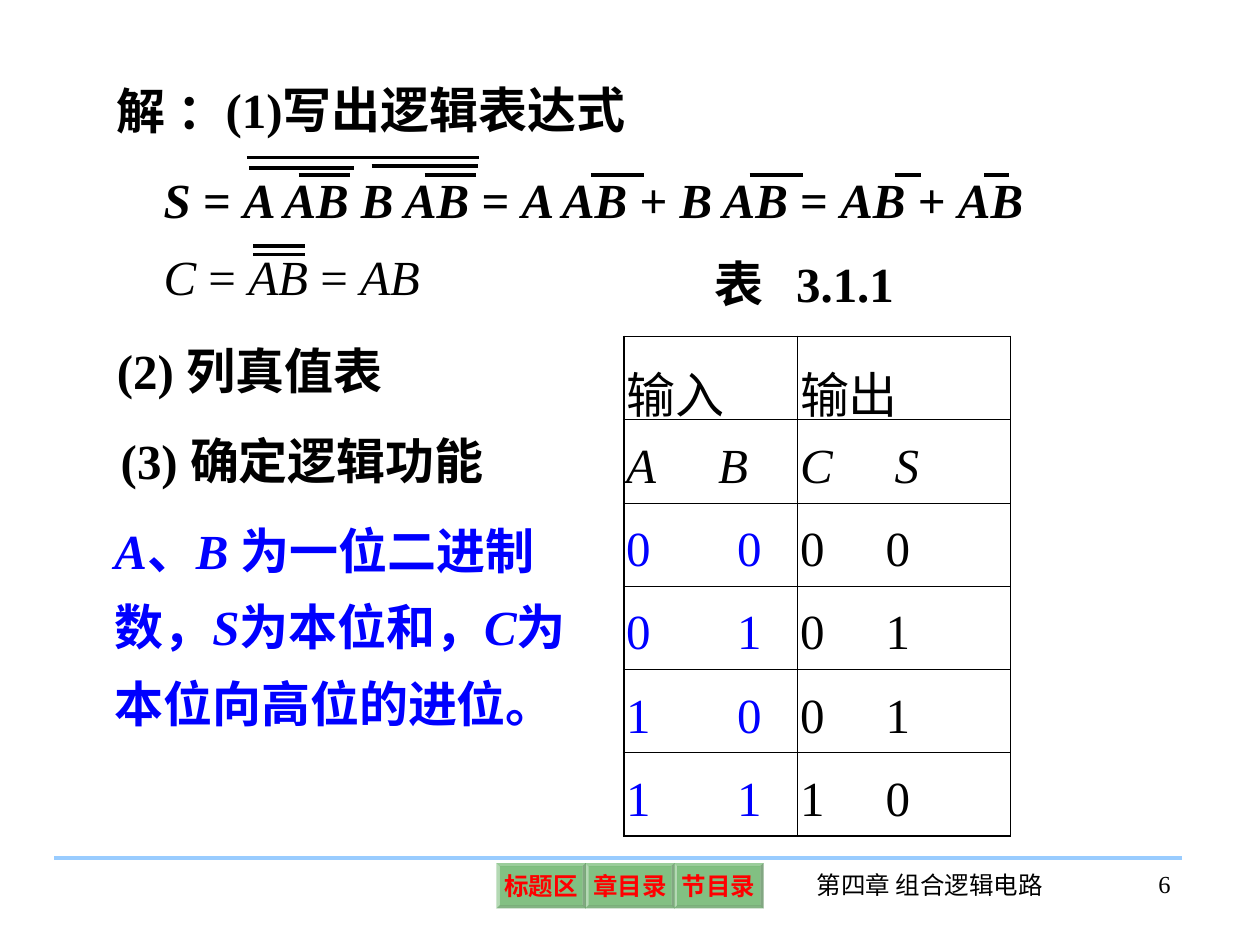
import pptx
import pptx.util
import pptx.dml.color
import pptx.enum.shapes
import pptx.enum.text
import pptx.oxml
import pptx.oxml.ns

Inches, Pt = pptx.util.Inches, pptx.util.Pt
RGB = pptx.dml.color.RGBColor.from_string
ALIGN = pptx.enum.text.PP_ALIGN
ANCHOR = pptx.enum.text.MSO_ANCHOR
FIT = pptx.enum.text.MSO_AUTO_SIZE
LINE = pptx.enum.shapes.MSO_CONNECTOR.STRAIGHT
NS = pptx.oxml.ns.nsdecls("a")
COLORS = {"ink": "000000", "blue": "0000FF", "rule": "99CCFF",
          "button": "008000", "label": "FF0000"}


def write(tf, runs, size=28, color="ink", bold=True, align=ALIGN.LEFT, tab=None, **spacing):
    p = tf.paragraphs[0]
    for name, value in dict(spacing, alignment=align).items():
        setattr(p, name, value)
    if tab:
        p._p.get_or_add_pPr().append(pptx.oxml.parse_xml(
            f'<a:tabLst {NS}><a:tab pos="{Inches(tab)}" algn="l"/></a:tabLst>'))
    for text, italic in runs:
        r = p.add_run()
        r.text = text
        font = {"name": "Times New Roman", "size": Pt(size), "bold": bold, "italic": italic}
        for name, value in font.items():
            setattr(r.font, name, value)
        r.font.color.rgb = RGB(COLORS[color])


def rule(shapes, x1, x2, y, color="ink"):
    sp = shapes.add_connector(LINE, Inches(x1), Inches(y), Inches(x2), Inches(y))
    sp.line.color.rgb = RGB(COLORS[color])
    sp.line.width = Pt(2.25)
    sp._element.spPr.append(pptx.oxml.parse_xml(f"<a:effectLst {NS}/>"))


prs = pptx.Presentation()
prs.slide_width, prs.slide_height = Inches(10), Inches(7.5)
s = prs.slides.add_slide(prs.slide_layouts[5])

rule(s.shapes, 0.43, 9.38, 6.81, "rule")

title = s.shapes.title
box = {"left": 1.69, "top": 0.58, "width": 3.74, "height": 0.57}
for name, value in box.items():
    setattr(title, name, Inches(value))
tf = title.text_frame
frame = {"word_wrap": True, "auto_size": FIT.NONE, "vertical_anchor": ANCHOR.TOP}
for name, value in frame.items():
    setattr(tf, name, value)
write(tf, [("(1)写出逻辑表达式", False)])

texts = [
    (0.83, 0.59, 1.09, 0.57, [("解 ：", False)], {}),
    (0.83, 2.65, 2.46, 0.57, [("(2) 列真值表", False)], {}),
    (0.86, 3.37, 3.28, 0.57, [("(3) 确定逻辑功能", False)], {}),
    (0.81, 3.94, 3.91, 2.53,
     [("A", True), ("、", False), ("B ", True), ("为一位二进制数，", False),
      ("S", True), ("为本位和，", False), ("C", True), ("为本位向高位的进位。", False)],
     {"color": "blue", "line_spacing": 1.3}),
    (5.57, 1.96, 2.09, 0.57, [("表\t3.1.1", False)], {"tab": 0.65}),
    (6.24, 6.86, 2.28, 0.5, [("第四章 组合逻辑电路", False)],
     {"size": 14, "bold": False, "align": ALIGN.CENTER}),
    (8.53, 6.85, 0.86, 0.5, [("6", False)],
     {"size": 14, "bold": False, "align": ALIGN.RIGHT}),
]
for x, y, w, h, runs, style in texts:
    tf = s.shapes.add_textbox(Inches(x), Inches(y), Inches(w), Inches(h)).text_frame
    tf.word_wrap = True
    write(tf, runs, **style)

formulas = [
    (1.3, 7.42, True,
     ["S", " = ", "A AB B AB", " = ", "A AB", " + ", "B AB", " = ", "AB", " + ", "AB"],
     [(2.37, 2.78, 1.39), (3.37, 3.78, 1.39), (1.98, 2.81, 1.33), (2.95, 3.79, 1.32),
      (1.96, 3.8, 1.25), (4.69, 5.11, 1.39), (5.95, 6.37, 1.39), (7.1, 7.31, 1.39),
      (7.81, 8.01, 1.39)]),
    (1.91, 2.39, False, ["C", " = ", "AB", " = ", "AB"],
     [(2.01, 2.42, 2.02), (2.01, 2.42, 1.95)]),
]
for y, w, bold, parts, bars in formulas:
    group = s.shapes.add_group_shape()
    tf = group.shapes.add_textbox(Inches(1.2), Inches(y), Inches(w), Inches(0.57)).text_frame
    tf.word_wrap = True
    write(tf, [(part, i % 2 == 0) for i, part in enumerate(parts)], bold=bold)
    for x1, x2, bar_y in bars:
        rule(group.shapes, x1, x2, bar_y)

rows = [("输入", "输出"), ("A\tB", "C\tS"), ("0\t0", "0\t0"),
        ("0\t1", "0\t1"), ("1\t0", "0\t1"), ("1\t1", "1\t0")]
table = s.shapes.add_table(len(rows), 2, Inches(4.95), Inches(2.67),
                           Inches(3.07), Inches(3.36)).table
table.first_row = table.horz_banding = False
for col, width in zip(table.columns, (1.38, 1.69)):
    col.width = Inches(width)
for i, row in enumerate(rows):
    table.rows[i].height = Inches(0.56)
    for j, text in enumerate(row):
        cell = table.cell(i, j)
        cell.vertical_anchor = ANCHOR.MIDDLE
        cell.margin_left = cell.margin_right = Inches(0.02)
        tab = [None, (0.73, 0.75)[j], (0.88, 0.68)[j]][min(i, 2)]
        write(cell.text_frame, [(text, i == 1)], bold=False, tab=tab,
              color="blue" if i > 1 and j == 0 else "ink",
              line_spacing=1.2, space_before=Pt(7))
        tcPr = cell._tc.get_or_add_tcPr()
        outer = {"lnL": j == 0, "lnR": j == 1, "lnT": i == 0, "lnB": i == len(rows) - 1}
        for side, edge in outer.items():
            tcPr.append(pptx.oxml.parse_xml(
                f'<a:{side} {NS} w="{Pt(1.08 if edge else 0.45)}"><a:solidFill>'
                f'<a:srgbClr val="{COLORS["ink"]}"/></a:solidFill></a:{side}>'))
        cell.fill.background()

for i, label in enumerate(["标题区", "章目录", "节目录"]):
    sp = s.shapes.add_shape(pptx.enum.shapes.MSO_SHAPE.BEVEL, Inches(3.94 + 0.705 * i),
                            Inches(6.85), Inches(0.71), Inches(0.36))
    sp.adjustments[0] = 0.07
    sp.shadow.inherit = False
    sp.line.fill.background()
    sp.fill.solid()
    sp.fill.fore_color.rgb = RGB(COLORS["button"])
    sp._element.spPr.find(".//" + pptx.oxml.ns.qn("a:srgbClr")).append(
        pptx.oxml.parse_xml(f'<a:alpha {NS} val="49000"/>'))
    tf = sp.text_frame
    tf.word_wrap = False
    tf.vertical_anchor = ANCHOR.MIDDLE
    for side in ("left", "top", "right", "bottom"):
        setattr(tf, f"margin_{side}", Inches(0.04))
    write(tf, [(label, False)], size=14, color="label", align=ALIGN.CENTER)

prs.save("out.pptx")
